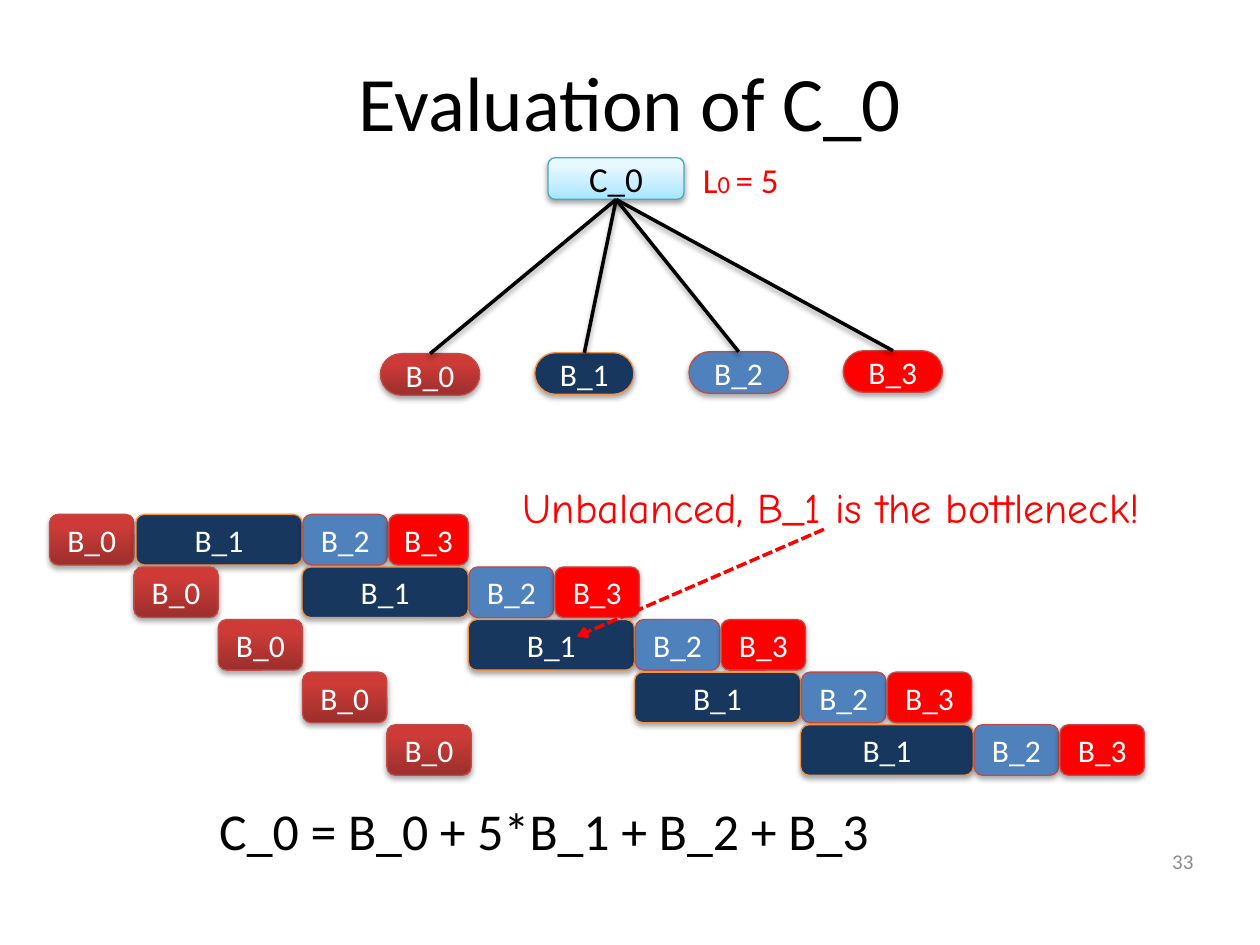
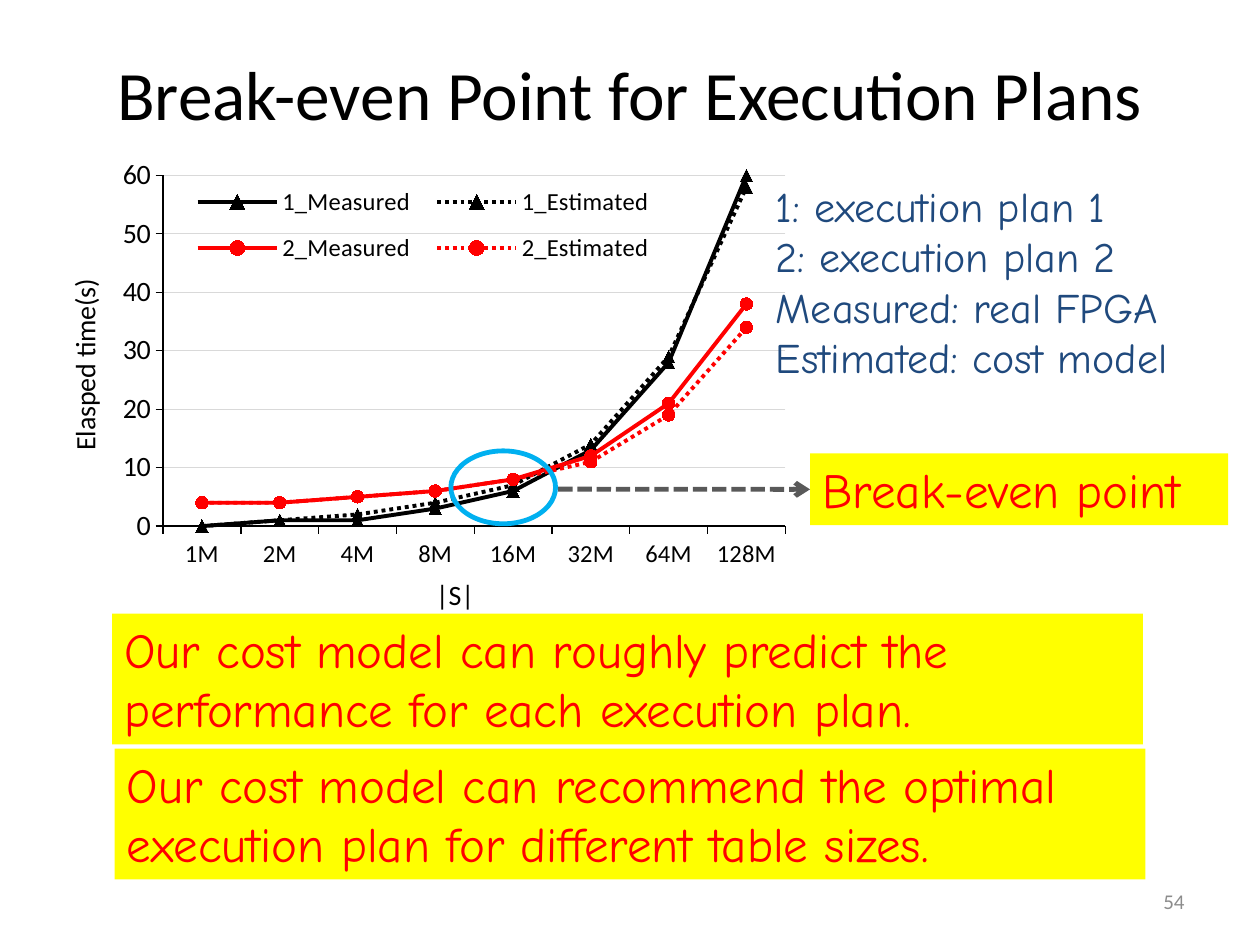
from lxml import etree
from pptx import Presentation
from pptx.chart.data import CategoryChartData
from pptx.dml.color import RGBColor
from pptx.enum.chart import XL_CHART_TYPE, XL_LEGEND_POSITION, XL_MARKER_STYLE, XL_TICK_MARK
from pptx.enum.dml import MSO_LINE
from pptx.enum.shapes import MSO_CONNECTOR, MSO_SHAPE
from pptx.enum.text import MSO_ANCHOR, PP_ALIGN
from pptx.oxml.ns import qn
from pptx.util import Cm, Pt

# Shared look
BODY_FONT, NOTE_FONT = "Calibri", "Comic Neue"
BLACK, WHITE, RED, GREY = "000000", "FFFFFF", "FF0000", "8C8C8C"
YELLOW, NAVY, SKY, ARROW_GREY = "FFFF00", "1F497D", "00B0F0", "595959"
LEFT, CENTER, RIGHT = PP_ALIGN.LEFT, PP_ALIGN.CENTER, PP_ALIGN.RIGHT
TOP, MIDDLE = MSO_ANCHOR.TOP, MSO_ANCHOR.MIDDLE
RECT, ROUNDED, OVAL = MSO_SHAPE.RECTANGLE, MSO_SHAPE.ROUNDED_RECTANGLE, MSO_SHAPE.OVAL
STRAIGHT = MSO_CONNECTOR.STRAIGHT
DOTTED, DASHED = MSO_LINE.ROUND_DOT, MSO_LINE.SQUARE_DOT
TRIANGLE, CIRCLE = XL_MARKER_STYLE.TRIANGLE, XL_MARKER_STYLE.CIRCLE
LINE_MARKERS = XL_CHART_TYPE.LINE_MARKERS
LEGEND_BOTTOM = XL_LEGEND_POSITION.BOTTOM
OUTSIDE = XL_TICK_MARK.OUTSIDE
TOP_SIDE, LEFT_SIDE, BOTTOM_SIDE = 0, 1, 2

# Fill (a pair is a gradient from bottom to top) and outline of each stage
STAGES = {
    "B_0": (("9C2F2D", "CE3B37"), "BF4C48"),
    "B_1": ("17375E", "F69240"),
    "B_2": ("4F81BD", "BF4C48"),
    "B_3": (RED, "BF4C48"),
}

SIZES = ["1M", "2M", "4M", "8M", "16M", "32M", "64M", "128M"]
TIMES = [
    ("1_Measured", [0, 1, 1, 3, 6, 13, 28, 60], BLACK, None, TRIANGLE),
    ("1_Estimated", [0, 1, 2, 4, 7, 14, 29, 58], BLACK, DOTTED, TRIANGLE),
    ("2_Measured", [4, 4, 5, 6, 8, 12, 21, 38], RED, None, CIRCLE),
    ("2_Estimated", [4, 4, 5, 6, 8, 11, 19, 34], RED, DOTTED, CIRCLE),
]


def rgb(value):
    return RGBColor.from_string(value)


def set_font(font, size, color=BLACK, name=BODY_FONT):
    font.size, font.name, font.bold = Pt(size), name, False
    font.color.rgb = rgb(color)


def set_line(line, color, width, dash=None):
    line.color.rgb = rgb(color)
    line.width = Pt(width)
    if dash:
        line.dash_style = dash


def write(shape, text, size=18, color=BLACK, font=BODY_FONT, align=LEFT, anchor=TOP):
    """Text is a string with one paragraph per line, or a list of (run, size)."""
    frame = shape.text_frame
    frame.word_wrap = True
    frame.vertical_anchor = anchor
    if isinstance(text, str):
        paragraphs = [[(line, size)] for line in text.split("\n")]
    else:
        paragraphs = [text]
    for index, runs in enumerate(paragraphs):
        paragraph = frame.add_paragraph() if index else frame.paragraphs[0]
        paragraph.alignment = align
        for words, run_size in runs:
            run = paragraph.add_run()
            run.text = words
            set_font(run.font, run_size, color, font)


def add_text(slide, box, text, **style):
    write(slide.shapes.add_textbox(*map(Cm, box)), text, **style)


def add_shadow(effects):
    shadow = etree.SubElement(effects, qn("a:outerShdw"), blurRad="40000",
                              dist="23000", dir="5400000", rotWithShape="0")
    color = etree.SubElement(shadow, qn("a:srgbClr"), val=BLACK)
    etree.SubElement(color, qn("a:alpha"), val="35000")


def add_block(slide, kind, box, fill=None, outline=None, width=0.75, shadow=False):
    block = slide.shapes.add_shape(kind, *map(Cm, box))
    block.shadow.inherit = False
    if fill is None:
        block.fill.background()
    elif isinstance(fill, tuple):
        block.fill.gradient()
        block.fill.gradient_angle = 90
        for stop, color, position in zip(block.fill.gradient_stops, fill, (0, 0.8)):
            stop.color.rgb = rgb(color)
            stop.position = position
    else:
        block.fill.solid()
        block.fill.fore_color.rgb = rgb(fill)
    if outline:
        set_line(block.line, outline, width)
    else:
        block.line.fill.background()
    if shadow:
        add_shadow(block.element.spPr.find(qn("a:effectLst")))
    return block


def add_stage(slide, name, box, pill=False):
    fill, outline = STAGES[name]
    stage = add_block(slide, ROUNDED, box, fill, outline, shadow=True)
    if pill:
        stage.adjustments[0] = 0.5
    write(stage, name, color=WHITE, align=CENTER, anchor=MIDDLE)
    return stage


def add_highlight(slide, box, text):
    highlight = add_block(slide, RECT, box, YELLOW)
    write(highlight, text, size=28, color=RED, font=NOTE_FONT)
    return highlight


def add_line(slide, ends, color, width, dash=None, arrow=False, shadow=False):
    link = slide.shapes.add_connector(STRAIGHT, *map(Cm, ends))
    set_line(link.line, color, width, dash)
    if arrow:
        etree.SubElement(link.element.spPr.find(qn("a:ln")), qn("a:tailEnd"), type="arrow")
    effects = etree.SubElement(link.element.spPr, qn("a:effectLst"))
    if shadow:
        add_shadow(effects)
    return link


def start_slide(deck, title, title_height, title_size, number, number_corner):
    slide = deck.slides.add_slide(deck.slide_layouts[6])
    add_text(slide, (1.27, 0.76, 22.86, title_height), title, size=title_size,
             align=CENTER, anchor=MIDDLE)
    add_text(slide, (*number_corner, 5.92, 1.02), number, size=12, color=GREY,
             align=RIGHT, anchor=MIDDLE)
    return slide


def place_part(part, after=None, inner=False, **fractions):
    """Fix a chart part at fractions of the chart area."""
    for old in part.findall(qn("c:layout")):
        part.remove(old)
    layout = etree.Element(qn("c:layout"))
    manual = etree.SubElement(layout, qn("c:manualLayout"))
    if inner:
        etree.SubElement(manual, qn("c:layoutTarget"), val="inner")
    for mode in ("xMode", "yMode"):
        etree.SubElement(manual, qn("c:" + mode), val="edge")
    for key, value in fractions.items():
        etree.SubElement(manual, qn("c:" + key), val=str(value))
    if after:
        part.find(qn(after)).addnext(layout)
    else:
        part.insert(0, layout)


def format_axis(axis, title, label_size, x, y):
    axis.major_tick_mark = OUTSIDE
    set_font(axis.tick_labels.font, label_size)
    set_line(axis.format.line, BLACK, 0.75)
    run = axis.axis_title.text_frame.paragraphs[0].add_run()
    run.text = title
    set_font(run.font, 16)
    place_part(axis.axis_title.element, after="c:tx", x=x, y=y)


def add_time_chart(slide, box):
    data = CategoryChartData()
    data.categories = SIZES
    for name, values, *_ in TIMES:
        data.add_series(name, values)
    chart = slide.shapes.add_chart(LINE_MARKERS, *map(Cm, box), data).chart
    chart.has_title = False
    set_font(chart.font, 10)
    chart.plots[0].vary_by_categories = False

    for series, (_, _, color, dash, marker) in zip(chart.plots[0].series, TIMES):
        series.smooth = False
        set_line(series.format.line, color, 2.25, dash)
        series.marker.style, series.marker.size = marker, 7
        series.marker.format.fill.solid()
        series.marker.format.fill.fore_color.rgb = rgb(color)
        set_line(series.marker.format.line, color, 0.75)

    # The horizontal title stays clear of the conclusions below the chart
    format_axis(chart.category_axis, "|S|", 14, 0.52, 0.87)
    time_axis = chart.value_axis
    format_axis(time_axis, "Elasped time(s)", 16, 0.05, 0.27)
    time_axis.minimum_scale, time_axis.maximum_scale, time_axis.major_unit = 0, 60, 10
    set_line(time_axis.major_gridlines.format.line, "D9D9D9", 0.75)

    chart.has_legend = True
    chart.legend.position = LEGEND_BOTTOM
    chart.legend.include_in_layout = True
    set_font(chart.legend.font, 14)
    place_part(chart.element.find(".//" + qn("c:legend")), after="c:legendPos",
               x=0.2, y=0.06, w=0.62, h=0.22)
    place_part(chart.element.find(".//" + qn("c:plotArea")), inner=True,
               x=0.18, y=0.07, w=0.79, h=0.71)


def build_evaluation(deck):
    slide = start_slide(deck, "Evaluation of C_0", 2.54, 44, "33", (18.39, 16.84))

    # Pipeline: five iterations, each waiting for the previous B_1
    for step in range(5):
        top = 10.37 + 1.06 * step
        slow_left = 2.74 + 3.35 * step
        slow_width = 3.48 if step == 4 else 3.35
        next_left = slow_left + slow_width + 0.02
        for name, left, width in (("B_0", 1 + 1.7 * step, 1.7),
                                  ("B_1", slow_left, slow_width),
                                  ("B_2", next_left, 1.7),
                                  ("B_3", next_left + 1.73, 1.7 if step else 1.6)):
            add_stage(slide, name, (left, top, width, 1.02))

    add_text(slide, (4.17, 15.98, 14.05, 2.34), "C_0 = B_0 + 5*B_1 + B_2 + B_3", size=29.6)
    add_text(slide, (10.29, 9.58, 15.04, 1.27), "Unbalanced, B_1 is the bottleneck!",
             size=24, color=RED, font=NOTE_FONT)
    add_line(slide, (16.61, 10.67, 11.63, 12.83), RED, 2, DASHED, arrow=True)

    # Tree
    root = add_block(slide, ROUNDED, (11.05, 3.18, 2.74, 0.84), ("A7E6FF", "E7F8FF"),
                     "46AAC5", shadow=True)
    write(root, "C_0", size=20, align=CENTER, anchor=MIDDLE)
    for index, name in enumerate(STAGES):
        leaf = add_stage(slide, name, (7.67 + 3.11 * index, 7.13 - 0.02 * index, 2, 0.84),
                         pill=True)
        branch = add_line(slide, (0, 0, 1, 1), BLACK, 2, shadow=True)
        branch.begin_connect(leaf, TOP_SIDE)
        branch.end_connect(root, BOTTOM_SIDE)
    add_text(slide, (13.92, 3.07, 2.11, 1.12), [("L", 20), ("0 ", 14), ("= 5", 20)], color=RED)


def build_break_even(deck):
    slide = start_slide(deck, "Break-even Point for Execution Plans", 2.21, 39.6,
                        "54", (18.21, 17.65))
    add_time_chart(slide, (0.43, 2.84, 15.88, 9.96))
    add_text(slide, (15.39, 3.51, 9.73, 4.37),
             "1: execution plan 1\n2: execution plan 2\n"
             "Measured: real FPGA\nEstimated: cost model",
             size=24, color=NAVY, font=NOTE_FONT)

    # Break-even callout
    add_block(slide, OVAL, (9.09, 9.09, 2.11, 1.47), outline=SKY, width=2.75)
    callout = add_highlight(slide, (16.33, 9.14, 8.43, 1.45), "Break-even point")
    pointer = add_line(slide, (11.25, 9.86, 16.3, 9.86), ARROW_GREY, 2.75, DASHED, arrow=True)
    pointer.end_connect(callout, LEFT_SIDE)

    # Conclusions
    add_highlight(slide, (2.26, 12.37, 20.78, 2.64),
                  "Our cost model can roughly predict the performance for each execution plan.")
    add_highlight(slide, (2.31, 15.09, 20.78, 2.64),
                  "Our cost model can recommend the optimal execution plan for different table sizes.")


def main():
    deck = Presentation()
    deck.slide_width, deck.slide_height = Cm(25.4), Cm(19.05)
    build_evaluation(deck)
    build_break_even(deck)
    deck.save("out.pptx")


if __name__ == "__main__":
    main()
